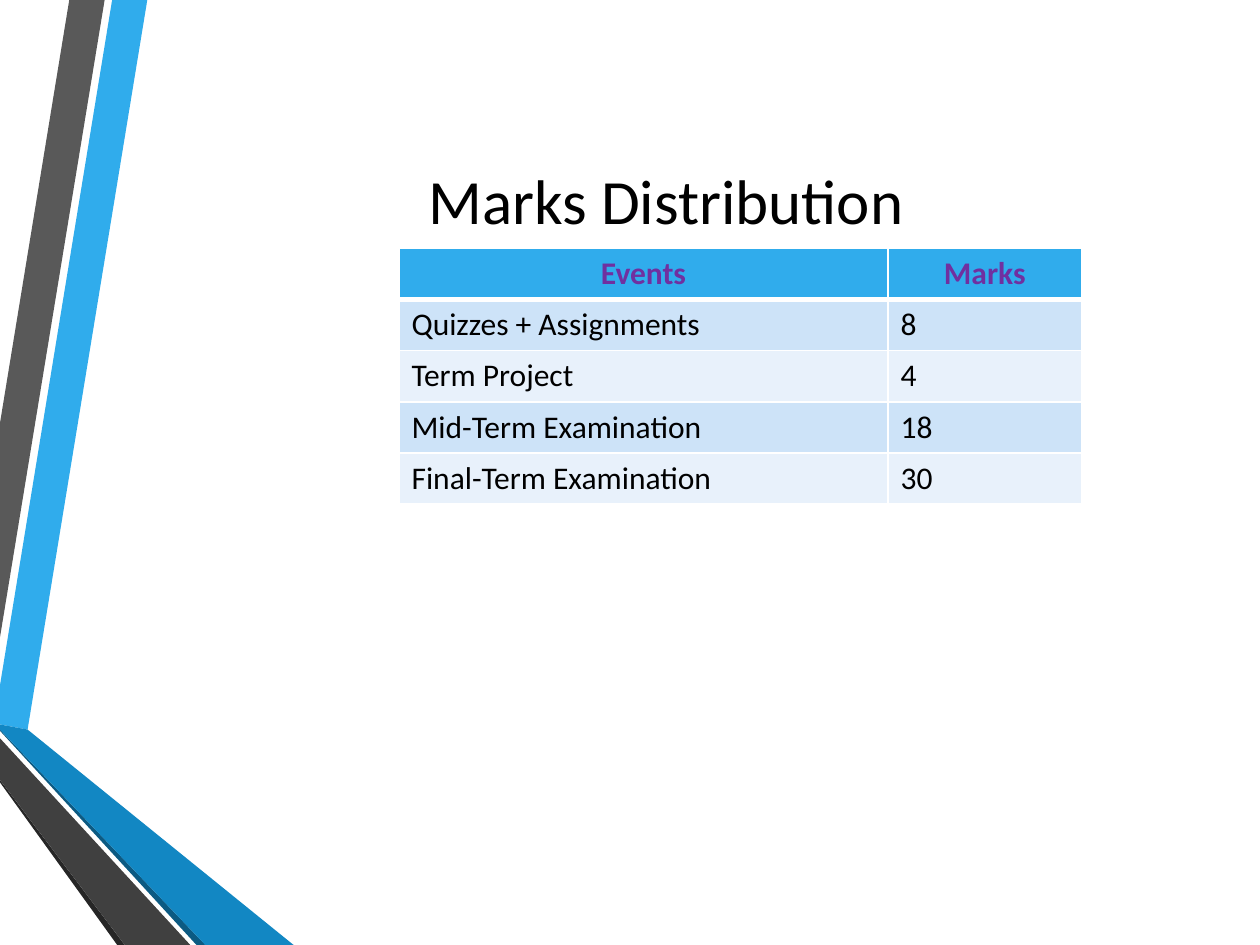
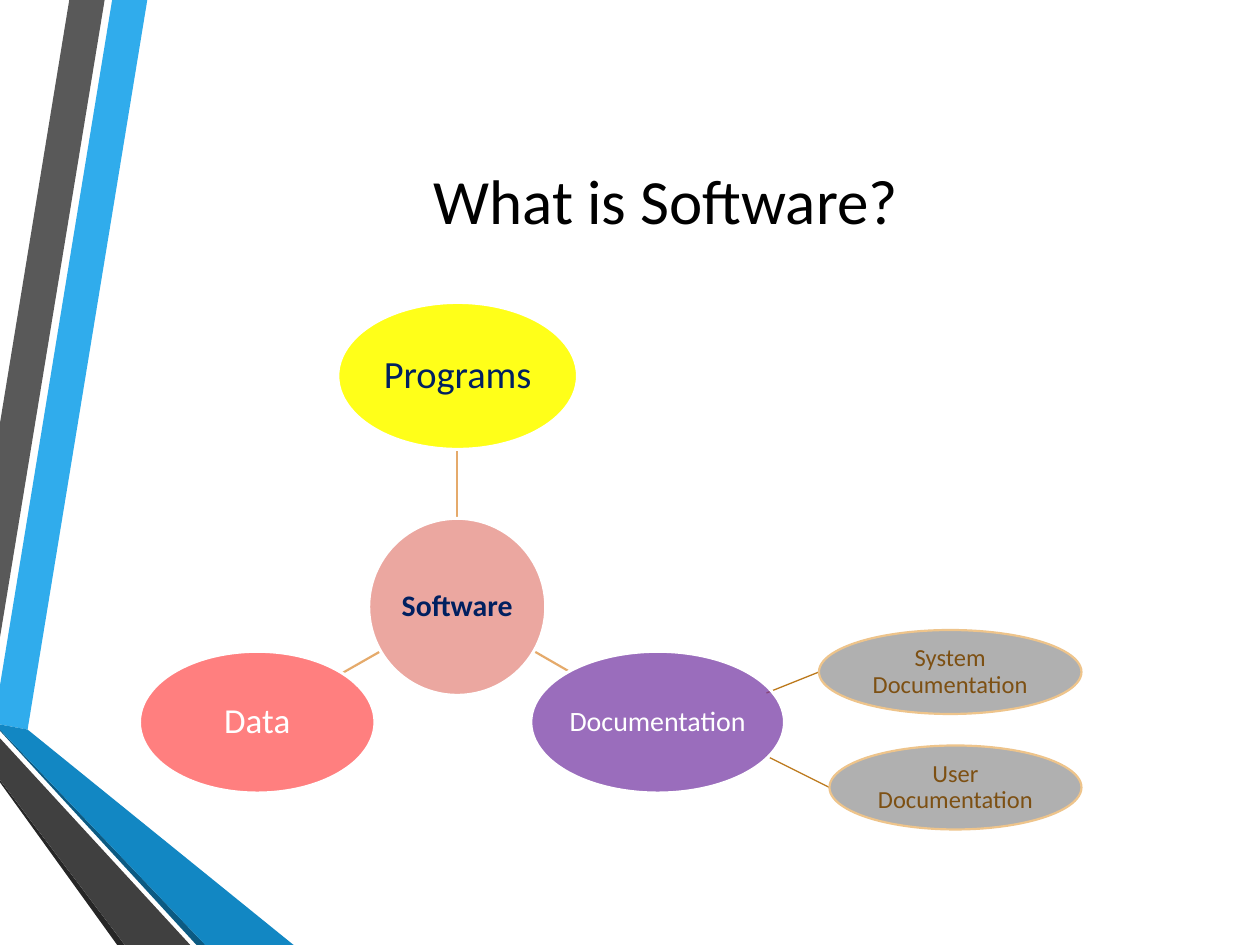
from pptx import Presentation
from pptx.dml.color import RGBColor
from pptx.enum import shapes, text
from pptx.oxml import parse_xml
from pptx.oxml.ns import nsdecls, qn
from pptx.util import Pt
from lxml import etree

FONT = "Calibri"
BLACK = RGBColor(0x00, 0x00, 0x00)
WHITE = RGBColor(0xFF, 0xFF, 0xFF)
BLUE = RGBColor(0x30, 0xAC, 0xEC)
MID_BLUE = RGBColor(0x12, 0x87, 0xC3)
DARK_BLUE = RGBColor(0x0C, 0x5A, 0x82)
GREY = RGBColor(0x59, 0x59, 0x59)
MID_GREY = RGBColor(0x40, 0x40, 0x40)
DARK_GREY = RGBColor(0x26, 0x26, 0x26)
ROW_TINTS = [RGBColor(0xE8, 0xF1, 0xFB), RGBColor(0xCD, 0xE3, 0xF8)]
PURPLE = RGBColor(0x70, 0x30, 0xA0)
NAVY = RGBColor(0x00, 0x20, 0x60)
ROSE = RGBColor(0xE6, 0x92, 0x89)
YELLOW = RGBColor(0xFF, 0xFF, 0x00)
RED = RGBColor(0xFF, 0x00, 0x00)
SILVER = RGBColor(0xB0, 0xB0, 0xB0)
SAND = RGBColor(0xEE, 0xC4, 0x8B)
BROWN = RGBColor(0x7D, 0x50, 0x13)
OCHRE = RGBColor(0xBC, 0x79, 0x1C)
TAN = RGBColor(0xE5, 0xAA, 0x6B)

# Ribbon down the left edge: fill and corner points
BANDS = [
    (BLUE, [(0, 391.7), (0, 414), (15.8, 416.9), (84.2, 0), (64.1, 0)]),
    (GREY, [(59.8, 0), (39.6, 0), (0, 241.9), (0, 364.3)]),
    (DARK_GREY, [(0, 445.7), (0, 447.1), (67, 540), (71.3, 540)]),
    (DARK_BLUE, [(0, 416.9), (0, 417.6), (112.3, 540), (117.4, 540)]),
    (MID_BLUE, [(0, 416.9), (117.4, 540), (167.8, 540), (15.8, 416.9), (0, 414)]),
    (MID_GREY, [(0, 445.7), (71.3, 540), (108.7, 540), (0, 421.9)]),
]


def write(tf, string, size, color, bold=False, align=text.PP_ALIGN.CENTER):
    tf.word_wrap = True
    p = tf.paragraphs[0]
    p.text = string
    p.alignment = align
    f = p.runs[0].font
    f.name, f.size, f.bold = FONT, Pt(size), bold
    f.color.rgb = color
    return p


def add_slide(title):
    s = prs.slides.add_slide(prs.slide_layouts[6])
    for color, points in BANDS:
        corners = [(Pt(x), Pt(y)) for x, y in points]
        fb = s.shapes.build_freeform(*corners[0])
        fb.add_line_segments(corners[1:], close=True)
        sp = fb.convert_to_shape()
        sp.shadow.inherit = False
        sp.fill.solid()
        sp.fill.fore_color.rgb = color
        sp.line.fill.background()
    tb = s.shapes.add_textbox(Pt(77), Pt(36), Pt(607), Pt(156))
    tb.text_frame.vertical_anchor = text.MSO_ANCHOR.MIDDLE
    write(tb.text_frame, title, 36, BLACK)
    return s


prs = Presentation()
prs.slide_width, prs.slide_height = Pt(720), Pt(540)

# Slide 1: marks table
s = add_slide("Marks Distribution")
rows = [
    ("Events", "Marks"),
    ("Quizzes + Assignments", "8"),
    ("Term Project", "4"),
    ("Mid-Term Examination", "18"),
    ("Final-Term Examination", "30"),
]
tbl = s.shapes.add_table(len(rows), 2, Pt(228), Pt(142), Pt(390), Pt(146)).table
tbl.first_row = tbl.horz_banding = False
tbl.columns[0].width, tbl.columns[1].width = Pt(279.5), Pt(110.5)
for i, row in enumerate(rows):
    tbl.rows[i].height = Pt(29.2)
    header = i == 0
    for j, value in enumerate(row):
        cell = tbl.cell(i, j)
        for side in "LRTB":
            heavy = (header and side == "B") or (i == 1 and side == "T")
            cell._tc.get_or_add_tcPr().append(parse_xml(
                f'<a:ln{side} {nsdecls("a")} w="{Pt(3 if heavy else 1)}">'
                f'<a:solidFill><a:srgbClr val="{WHITE}"/></a:solidFill></a:ln{side}>'))
        cell.fill.solid()
        cell.fill.fore_color.rgb = BLUE if header else ROW_TINTS[i % 2]
        write(cell.text_frame, value, 18, PURPLE if header else BLACK, header,
              text.PP_ALIGN.CENTER if header else text.PP_ALIGN.LEFT)

# Slide 2: software and its parts
s = add_slide("What is Software?")

# Links: start, end, colour, width
links = [
    ((468, 384), (438, 396), OCHRE, 0.75),
    ((474, 450), (438, 432), OCHRE, 0.75),
    ((261.2, 296), (261.2, 257), TAN, 1.25),
    ((305.3, 372.2), (325.4, 383.8), TAN, 1.25),
    ((217.4, 372.2), (195.8, 384.5), TAN, 1.25),
]
for start, end, color, width in links:
    c = s.shapes.add_connector(shapes.MSO_CONNECTOR.STRAIGHT,
                               *[Pt(v) for v in start + end])
    c.line.color.rgb = color
    c.line.width = Pt(width)
    etree.SubElement(c._element.spPr, qn("a:effectLst"))

# Ellipses: label, box, fill, opacity %, outline, outline width, size, colour, bold
nodes = [
    ("System Documentation", (468, 360, 150, 48), SILVER, 100, SAND, 1.25, 14, BROWN, False),
    ("User Documentation", (474, 426, 144, 48), SILVER, 100, SAND, 1.25, 14, BROWN, False),
    ("Software", (210.7, 296.2, 101.2, 101.2), ROSE, 80, WHITE, 1.75, 17, NAVY, True),
    ("Programs", (193, 172.8, 137, 84), YELLOW, 90, WHITE, 1.75, 22, NAVY, False),
    ("Documentation", (303.3, 372.2, 145, 81), PURPLE, 70, WHITE, 1.75, 16, WHITE, False),
    ("Data", (79.7, 372.2, 134.6, 81), RED, 50, WHITE, 1.75, 20, WHITE, False),
]
for label, box, fill, opacity, outline, width, size, color, bold in nodes:
    sp = s.shapes.add_shape(shapes.MSO_SHAPE.OVAL, *[Pt(v) for v in box])
    sp.shadow.inherit = False
    sp.fill.solid()
    sp.fill.fore_color.rgb = fill
    if opacity < 100:
        clr = sp._element.spPr.find(qn("a:solidFill"))[0]
        etree.SubElement(clr, qn("a:alpha")).set("val", str(opacity * 1000))
    sp.line.color.rgb = outline
    sp.line.width = Pt(width)
    tf = sp.text_frame
    tf.margin_left = tf.margin_right = tf.margin_top = tf.margin_bottom = 0
    tf.vertical_anchor = text.MSO_ANCHOR.MIDDLE
    write(tf, label, size, color, bold).line_spacing = 0.9
    tf.word_wrap = " " in label  # single words stay on one line

prs.save("out.pptx")
